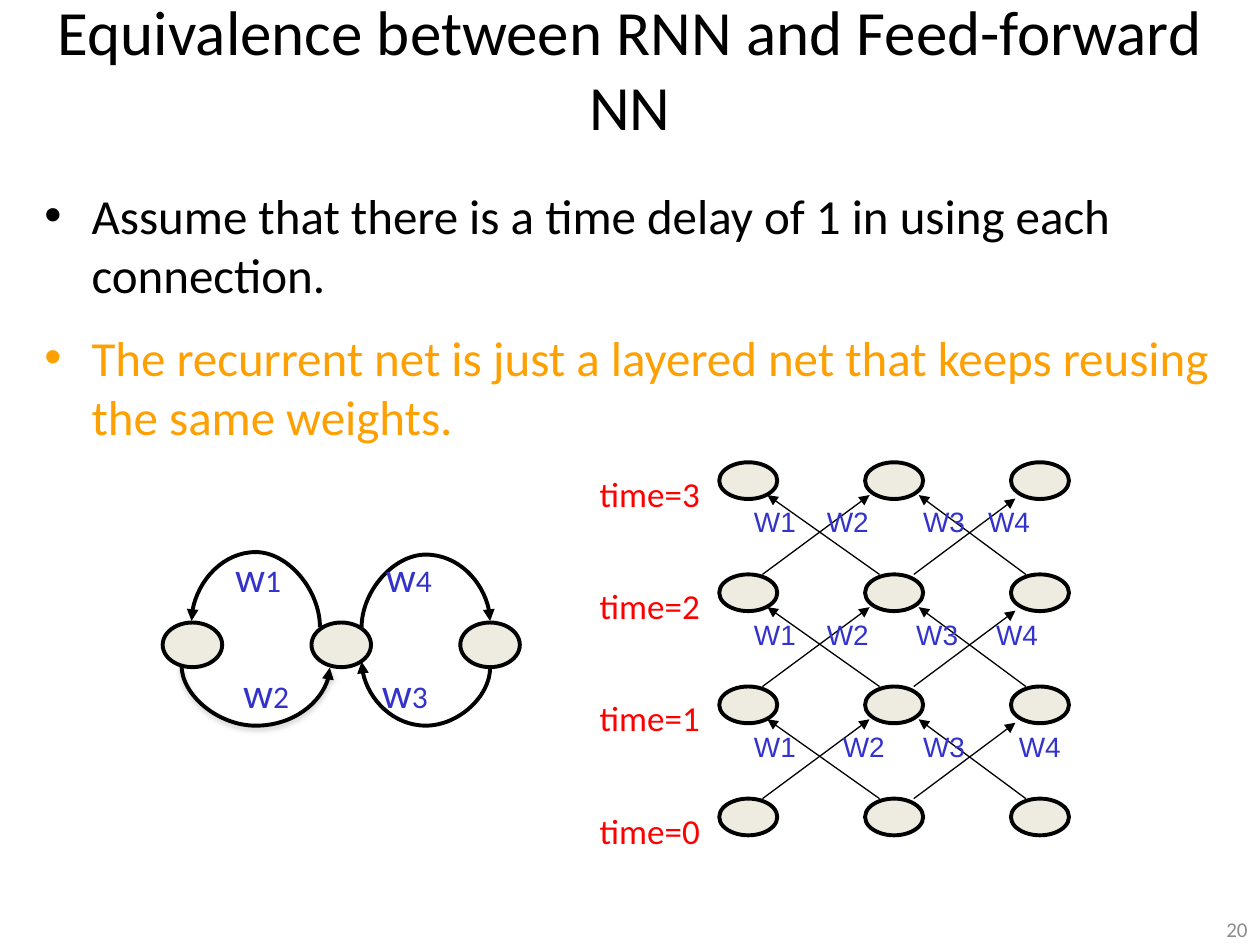
from lxml.etree import SubElement
from pptx import Presentation
from pptx.dml.color import RGBColor
from pptx.enum.shapes import MSO_CONNECTOR as CONN, MSO_SHAPE as SHAPE
from pptx.enum.text import MSO_ANCHOR as ANCHOR, PP_ALIGN as ALIGN
from pptx.oxml.ns import qn
from pptx.util import Cm, Pt

COLORS = {
    "black": "000000", "orange": "FEA002", "node": "EEECE1", "weight": "3333CC",
    "time": "FF0000", "page": "8C8C8C", "shadow": "808080",
}

# Unrolled network, in cm
TOP, ROW_STEP = 9.32, 2.26
LEFT, COL_STEP = 14.5, 2.94
NODE = (1.17, 0.74)
# start x, end x and rise of the arrows between two rows
ARROWS = [(15.37, 17.53, 1.6), (20.68, 18.52, 1.6),
          (17.73, 15.47, 1.6), (18.42, 20.47, 1.53)]
# x of W1 to W4 below each of the upper rows
WEIGHT_X = [(15.2, 16.67, 18.61, 19.92),
            (15.2, 16.67, 18.47, 20.08),
            (15.2, 16.99, 18.61, 20.54)]

# Recurrent network, in cm: start, end, y of the bend
LOOPS = [((9.88, 13.46), (7.29, 13.34), 14.63),
         ((6.45, 12.65), (3.86, 12.52), 11.13),
         ((7.29, 12.65), (9.88, 12.52), 11.18)]
SHADED_LOOP = ((3.66, 13.41), (6.65, 13.46), 14.63)
LOOP_LABELS = [("1", 4.74, 11.1), ("4", 7.78, 11.1),
               ("2", 4.9, 13.44), ("3", 7.7, 13.44)]


def rgb(name):
    return RGBColor.from_string(COLORS[name])


def add_run(p, text, size=18, color="black", font="Calibri"):
    r = p.add_run()
    r.text = text
    r.font.size, r.font.name = Pt(size), font
    r.font.color.rgb = rgb(color)


def place(sp, x, y, w, h):
    sp.left, sp.top, sp.width, sp.height = Cm(x), Cm(y), Cm(w), Cm(h)


def add_label(slide, x, y, w, h, runs, align=ALIGN.LEFT, anchor=ANCHOR.TOP, **fmt):
    """Text box without insets; runs holds (text, size) pairs."""
    tf = slide.shapes.add_textbox(Cm(x), Cm(y), Cm(w), Cm(h)).text_frame
    tf.margin_left = tf.margin_right = tf.margin_top = tf.margin_bottom = 0
    tf.word_wrap, tf.vertical_anchor = True, anchor
    p = tf.paragraphs[0]
    p.alignment = align
    for text, size in runs:
        add_run(p, text, size=size, **fmt)


def add_node(slide, x, y, w, h):
    sp = slide.shapes.add_shape(SHAPE.OVAL, Cm(x), Cm(y), Cm(w), Cm(h))
    sp.shadow.inherit = False
    sp.fill.solid()
    sp.fill.fore_color.rgb = rgb("node")
    sp.line.color.rgb = rgb("black")
    sp.line.width = Pt(2.25)


def add_arrow(slide, kind, start, end, width):
    """Return the connector and its effect list."""
    c = slide.shapes.add_connector(kind, *(Cm(v) for v in (*start, *end)))
    c.line.color.rgb = rgb("black")
    c.line.width = Pt(width)
    SubElement(c.line._get_or_add_ln(), qn("a:tailEnd"), type="triangle")
    return c, SubElement(c._element.spPr, qn("a:effectLst"))


def add_loop(slide, start, end, bend_y):
    """U-shaped curve: an S connector on its side, pulled out to bend_y."""
    (x1, y1), (x2, y2) = start, end
    w, h = abs(y2 - y1), abs(x2 - x1)
    x, y = (x1 + x2 - w) / 2, (y1 + y2 - h) / 2
    c, effects = add_arrow(slide, CONN.CURVE, (x, y), (x + w, y + h), 2.25)
    xfrm = c._element.spPr.find(qn("a:xfrm"))
    xfrm.set("rot", str(270 * 60000))
    if y2 > y1:
        xfrm.set("flipH", "1")
    if x2 < x1:
        xfrm.set("flipV", "1")
    guides = c._element.spPr.find(qn("a:prstGeom")).get_or_add_avLst()
    bend = round((bend_y - y1) / (y2 - y1) * 100000)
    SubElement(guides, qn("a:gd"), name="adj1", fmla=f"val {bend}")
    return effects


def add_shadow(effects):
    shadow = SubElement(effects, qn("a:outerShdw"), blurRad=str(Pt(3.1)),
                        dist=str(Pt(1.6)), dir=str(90 * 60000), rotWithShape="0")
    color = SubElement(shadow, qn("a:srgbClr"), val=COLORS["shadow"])
    SubElement(color, qn("a:alpha"), val="38000")


def add_heading(slide):
    title = slide.shapes.title
    place(title, 0, 0, 25.4, 2.74)
    title.text_frame.vertical_anchor = ANCHOR.MIDDLE
    p = title.text_frame.paragraphs[0]
    p.alignment = ALIGN.CENTER
    add_run(p, "Equivalence between RNN and Feed-forward NN", size=36)


def add_bullets(slide, items):
    body = slide.placeholders[1]
    place(body, 0.64, 3.61, 24.13, 14.6)
    tf = body.text_frame
    for i, (text, color) in enumerate(items):
        p = tf.add_paragraph() if i else tf.paragraphs[0]
        p.space_before, p.space_after = Pt(0), Pt(14)
        add_run(p, text, size=28, color=color)


def add_unrolled_net(slide):
    for row in range(4):
        y = TOP + row * ROW_STEP
        for col in range(3):
            add_node(slide, LEFT + col * COL_STEP, y, *NODE)
        add_label(slide, 12.09, y + 0.21, 2.3, 0.9, [(f"time={3 - row}", 20)], color="time")
    for row, label_xs in enumerate(WEIGHT_X):
        y = TOP + row * ROW_STEP
        base = y + ROW_STEP
        for x1, x2, rise in ARROWS:
            add_arrow(slide, CONN.STRAIGHT, (x1, base), (x2, base - rise), 0.75)
        for i, x in enumerate(label_xs, 1):
            add_label(slide, x, y + 0.86, 1.1, 0.7, [(f"W{i}", 16)],
                      color="weight", font="Arial")


def add_recurrent_net(slide):
    for col in range(3):
        add_node(slide, 3.28 + col * 3, 12.55, 1.2, 0.9)
    for loop in LOOPS:
        add_loop(slide, *loop)
    for digit, x, y in LOOP_LABELS:
        add_label(slide, x, y, 1.3, 1.05, [("w", 24), (digit, 18)], color="weight")
    add_shadow(add_loop(slide, *SHADED_LOOP))


def main():
    prs = Presentation()
    prs.slide_width, prs.slide_height = Cm(25.4), Cm(19.05)
    slide = prs.slides.add_slide(prs.slide_layouts[1])
    add_heading(slide)
    add_bullets(slide, [
        ("Assume that there is a time delay of 1 in using each connection.", "black"),
        ("The recurrent net is just a layered net that keeps reusing the same weights.",
         "orange"),
    ])
    add_label(slide, 19.48, 18.42, 5.67, 0.63, [("20", 12)], align=ALIGN.RIGHT,
              anchor=ANCHOR.MIDDLE, color="page")
    add_unrolled_net(slide)
    add_recurrent_net(slide)
    prs.save("out.pptx")


if __name__ == "__main__":
    main()
